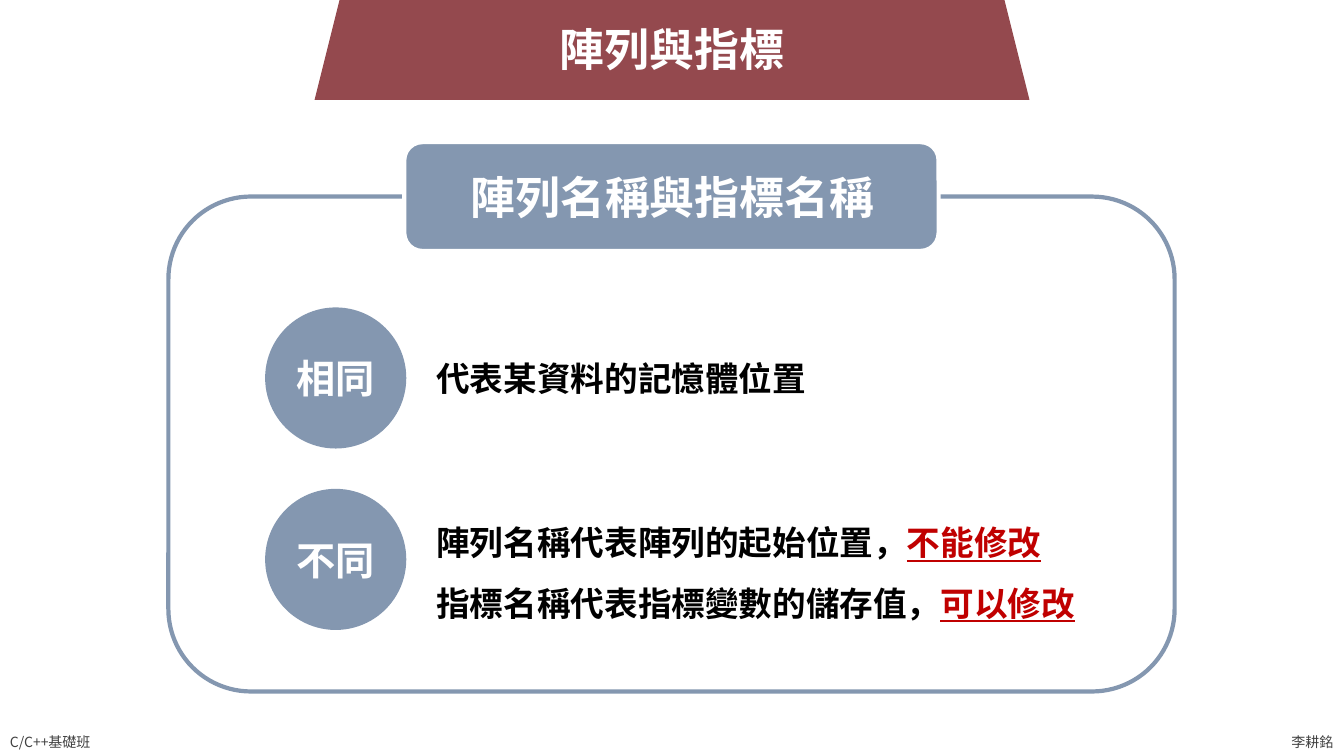
from dataclasses import dataclass

from lxml import etree
from pptx import Presentation, util as u
from pptx.dml.color import RGBColor
from pptx.enum import shapes, text
from pptx.oxml import ns

KIND = shapes.MSO_SHAPE
ALIGN = text.PP_ALIGN
ANCHOR = text.MSO_ANCHOR


@dataclass(frozen=True)
class Theme:
    font: str = "Noto Sans CJK TC"
    latin: str = "Calibri"
    white: str = "FFFFFF"
    black: str = "000000"
    gray: str = "404040"
    wine: str = "94494E"
    steel: str = "8497B0"
    red: str = "C00000"
    title: int = 32
    badge: int = 28
    body: int = 24
    foot: int = 10
    line: int = 3


class Deck:
    def __init__(self, theme):
        self.theme = theme
        self.prs = Presentation()
        self.prs.slide_width = u.Inches(13.33)
        self.prs.slide_height = u.Inches(7.5)
        self.slide = self.prs.slides.add_slide(self.prs.slide_layouts[6])

    def style(self, run, size, color, bold=True, font=None):
        face = run.font
        face.name = font or self.theme.font
        face.size = u.Pt(size)
        face.bold = bold
        face.color.rgb = RGBColor.from_string(color)
        # East Asian typeface follows the latin one
        latin = face._element.find(ns.qn("a:latin"))
        east = etree.Element(ns.qn("a:ea"), typeface=self.theme.font)
        latin.addnext(east)

    def shape(self, kind, box, fill=None, line=None):
        item = self.slide.shapes.add_shape(kind, *map(u.Inches, box))
        item.shadow.inherit = False
        if fill:
            item.fill.solid()
            item.fill.fore_color.rgb = RGBColor.from_string(fill)
        else:
            item.fill.background()
        if line:
            item.line.color.rgb = RGBColor.from_string(line)
            item.line.width = u.Pt(self.theme.line)
        else:
            item.line.fill.background()
        return item

    def label(self, box, rows, size, color, bold=True, align=ALIGN.LEFT,
              wrap=False, space=None, anchor=ANCHOR.TOP):
        """Each row is a plain part and an underlined red part."""
        frame = self.slide.shapes.add_textbox(*map(u.Inches, box)).text_frame
        frame.word_wrap = wrap
        frame.auto_size = text.MSO_AUTO_SIZE.SHAPE_TO_FIT_TEXT
        frame.vertical_anchor = anchor
        for i, (plain, key) in enumerate(rows):
            para = frame.add_paragraph() if i else frame.paragraphs[0]
            para.text = plain
            para.alignment = align
            if space:
                para.line_spacing = space
            self.style(para.runs[0], size, color, bold)
            if key:
                run = para.add_run()
                run.text = key
                self.style(run, size, self.theme.red, bold)
                run.font.underline = True

    def head(self, box, words):
        self.label(box, [(words, "")], self.theme.title, self.theme.white,
                   align=ALIGN.CENTER)

    def foot(self, box, words, anchor):
        self.label(box, [(words, "")], self.theme.foot, self.theme.gray,
                   bold=False, anchor=anchor)

    def badge(self, top, words):
        item = self.shape(KIND.OVAL, (2.63, top, 1.4, 1.4), self.theme.steel)
        frame = item.text_frame
        frame.text = words
        frame.vertical_anchor = ANCHOR.MIDDLE
        para = frame.paragraphs[0]
        para.alignment = ALIGN.CENTER
        self.style(para.runs[0], self.theme.badge, self.theme.white,
                   font=self.theme.latin)

    def notes(self, box, rows, space=None):
        self.label(box, rows, self.theme.body, self.theme.black,
                   wrap=True, space=space)


def main():
    theme = Theme()
    deck = Deck(theme)

    # Footer
    deck.foot((0, 7.23, 1.07, 0.27), "C/C++基礎班", ANCHOR.TOP)
    deck.foot((12.71, 7.23, 0.62, 0.27), "李耕銘", ANCHOR.MIDDLE)

    # Title banner
    deck.shape(KIND.TRAPEZOID, (3.12, -0.23, 7.09, 1.22), theme.wine)
    deck.head((5.44, 0.17, 2.45, 0.64), "陣列與指標")

    # Panel with its heading
    deck.shape(KIND.ROUNDED_RECTANGLE, (1.67, 1.95, 9.98, 4.91),
               line=theme.steel)
    deck.shape(KIND.ROUNDED_RECTANGLE, (4.01, 1.41, 5.3, 1.08),
               theme.steel, theme.white)
    deck.head((4.55, 1.63, 4.24, 0.64), "陣列名稱與指標名稱")

    # Badges and explanations
    for i, words in enumerate(("相同", "不同")):
        deck.badge(3.05 + 1.8 * i, words)
    deck.notes((4.23, 3.5, 4.08, 0.5), [("代表某資料的記憶體位置", "")])
    deck.notes((4.23, 4.93, 6.6, 1.24), [
        ("陣列名稱代表陣列的起始位置，", "不能修改"),
        ("指標名稱代表指標變數的儲存值，", "可以修改"),
    ], space=1.5)

    deck.prs.save("out.pptx")


if __name__ == "__main__":
    main()
